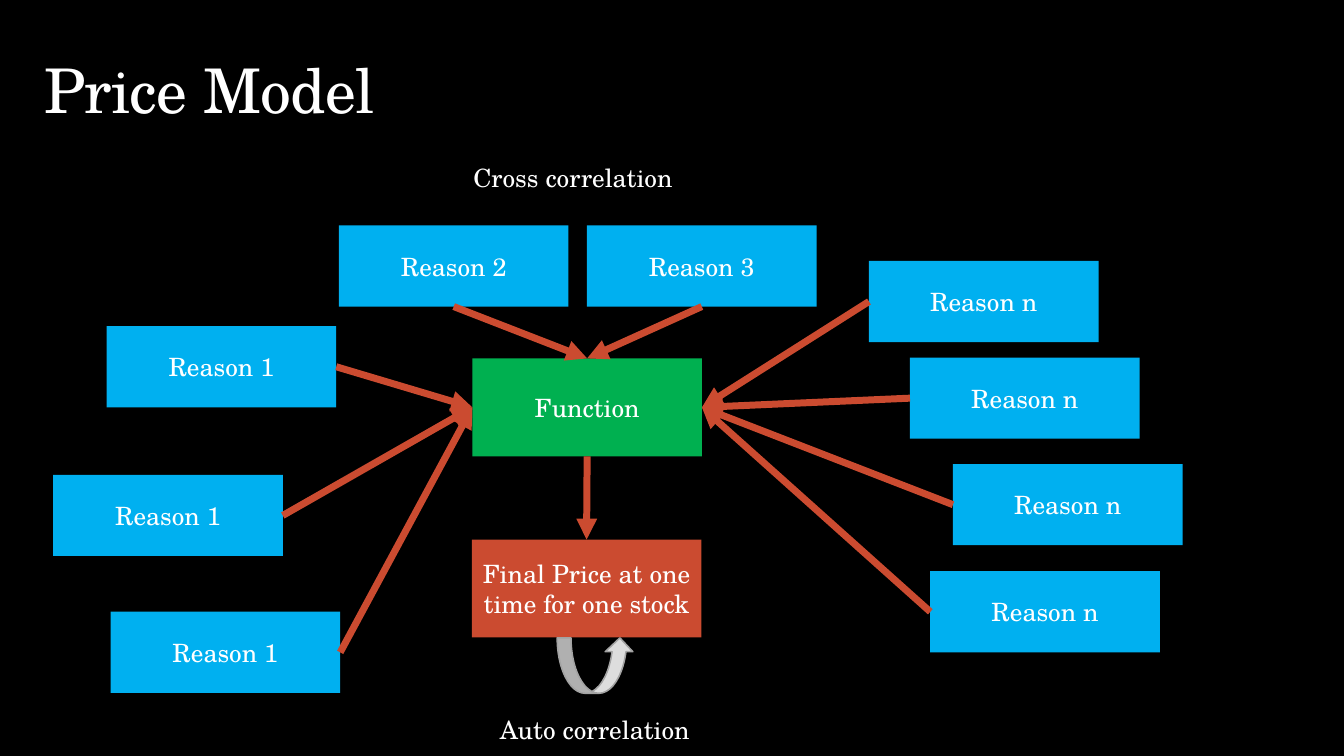
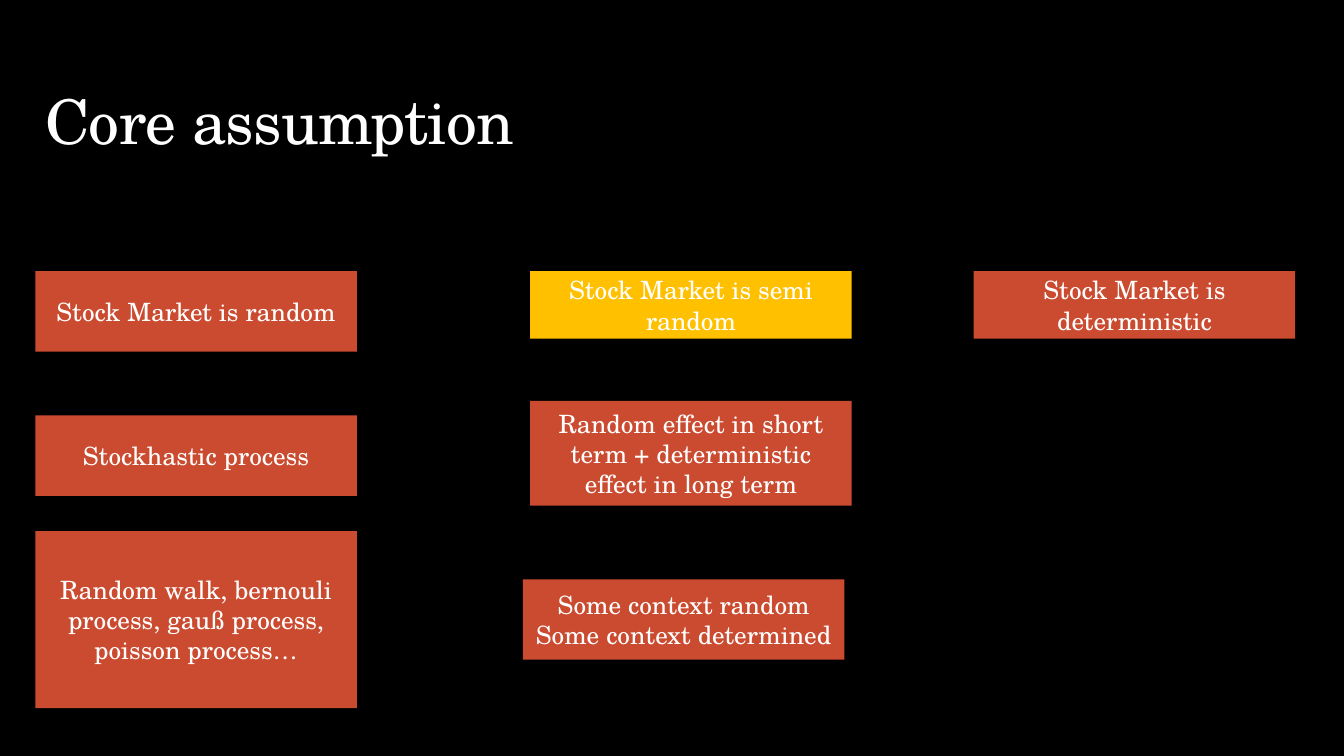
"""Build the price model and core assumption slides."""
import dataclasses
import typing

import lxml.etree
import pptx
import pptx.dml.color
import pptx.enum.shapes
import pptx.enum.text
import pptx.oxml.ns
import pptx.shapes.autoshape
import pptx.slide
import pptx.text.text
import pptx.util

Pt = pptx.util.Pt
RGBColor = pptx.dml.color.RGBColor
Shape = pptx.shapes.autoshape.Shape
SHAPE = pptx.enum.shapes.MSO_SHAPE
ANCHOR = pptx.enum.text.MSO_ANCHOR
ALIGN = pptx.enum.text.PP_ALIGN

BLACK = RGBColor(0x00, 0x00, 0x00)
WHITE = RGBColor(0xFF, 0xFF, 0xFF)
RED = RGBColor(0xCB, 0x4B, 0x30)
BLUE = RGBColor(0x00, 0xB0, 0xF0)
GREEN = RGBColor(0x00, 0xB0, 0x50)
YELLOW = RGBColor(0xFF, 0xC0, 0x00)
LIGHT_GREY = RGBColor(0xDD, 0xDD, 0xDD)
MID_GREY = RGBColor(0xA3, 0xA3, 0xA3)

BODY_FONT = {"name": "TeX Gyre Schola", "size": Pt(18)}
TITLE_FONT = {**BODY_FONT, "size": Pt(44)}
BOX_FRAME = {"word_wrap": True, "vertical_anchor": ANCHOR.MIDDLE}
TITLE_FRAME = {"word_wrap": True, "vertical_anchor": ANCHOR.BOTTOM}
LABEL_FRAME = {"word_wrap": False}
BOX_PARA = {"alignment": ALIGN.CENTER}
TITLE_PARA = {"line_spacing": 0.9}

TOP, LEFT, BOTTOM, RIGHT = range(4)
REASON_WIDTH, REASON_HEIGHT, CORE_HEIGHT = 164, 58, 70
CARD_WIDTH, CARD_HEIGHT = 229.7, 57.5
COLUMN_LEFTS = (25.2, 378.7, 695.5)
HEADING_TOP, HEADING_HEIGHT = 193.7, 48.2


@dataclasses.dataclass(frozen=True)
class Box:
    """A filled rectangle with centred text, measured in points."""

    text: str
    left: float
    top: float
    width: float
    height: float
    color: RGBColor = RED


@dataclasses.dataclass(frozen=True)
class Reason:
    """A reason box and the sides its arrow leaves from and points to."""

    text: str
    left: float
    top: float
    start_side: int
    end_side: int


REASONS = (
    Reason("Reason 2", 242.1, 161, BOTTOM, TOP),
    Reason("Reason 3", 419.3, 161, BOTTOM, TOP),
    Reason("Reason 1", 76.2, 233, RIGHT, LEFT),
    Reason("Reason 1", 38, 339.2, RIGHT, LEFT),
    Reason("Reason 1", 79, 437, RIGHT, LEFT),
    Reason("Reason n", 620.7, 186.4, LEFT, RIGHT),
    Reason("Reason n", 650, 255.4, LEFT, RIGHT),
    Reason("Reason n", 680.7, 331.5, LEFT, RIGHT),
    Reason("Reason n", 664.5, 408, LEFT, RIGHT),
)
FUNCTION = Box("Function", 337.4, 256, REASON_WIDTH, CORE_HEIGHT, GREEN)
FINAL_PRICE = Box("Final Price at one time for one stock", 337, 385.4, REASON_WIDTH, CORE_HEIGHT)

ASSUMPTIONS = (
    Box("Stock Market is random", COLUMN_LEFTS[0], HEADING_TOP, CARD_WIDTH, CARD_HEIGHT),
    Box("Stockhastic process", COLUMN_LEFTS[0], 296.7, CARD_WIDTH, CARD_HEIGHT),
    Box("Random walk, bernouli process, gauß process, poisson process…",
        COLUMN_LEFTS[0], 379.3, CARD_WIDTH, 126.5),
    Box("Stock Market is semi random", COLUMN_LEFTS[1], HEADING_TOP, CARD_WIDTH, HEADING_HEIGHT, YELLOW),
    Box("Random effect in short term + deterministic effect in long term",
        COLUMN_LEFTS[1], 286.4, CARD_WIDTH, 74.8),
    Box("Some context random\nSome context determined", 373.5, 413.8, CARD_WIDTH, CARD_HEIGHT),
    Box("Stock Market is deterministic", COLUMN_LEFTS[2], HEADING_TOP, CARD_WIDTH, HEADING_HEIGHT),
)


def apply(target: object, values: dict[str, typing.Any]) -> None:
    """Set each named attribute on the target."""
    for name, value in values.items():
        setattr(target, name, value)


def write(frame: pptx.text.text.TextFrame, text: str, frame_format: dict[str, typing.Any],
          para_format: dict[str, typing.Any], font_format: dict[str, typing.Any]) -> None:
    """Fill a frame with one formatted paragraph per line of text."""
    apply(frame, frame_format)
    frame.text = text
    for para in frame.paragraphs:
        apply(para, para_format)
        for span in para.runs:
            apply(span.font, font_format)
            span.font.color.rgb = WHITE


def add_title(page: pptx.slide.Slide, text: str, left: float, top: float, height: float) -> None:
    """Add a large title with tightened letters."""
    frame = page.shapes.add_textbox(Pt(left), Pt(top), Pt(763), Pt(height)).text_frame
    write(frame, text, TITLE_FRAME, TITLE_PARA, TITLE_FONT)
    frame.paragraphs[0].runs[0]._r.get_or_add_rPr().set("spc", "-50")


def add_label(page: pptx.slide.Slide, text: str, left: float, top: float, width: float) -> None:
    """Add a one-line label."""
    label = page.shapes.add_textbox(Pt(left), Pt(top), Pt(width), Pt(29))
    write(label.text_frame, text, LABEL_FRAME, {}, BODY_FONT)


def add_box(page: pptx.slide.Slide, box: Box) -> Shape:
    """Draw a box and return its shape."""
    shape = page.shapes.add_shape(
        SHAPE.RECTANGLE, Pt(box.left), Pt(box.top), Pt(box.width), Pt(box.height))
    shape.shadow.inherit = False
    shape.fill.solid()
    shape.fill.fore_color.rgb = box.color
    shape.line.fill.background()
    write(shape.text_frame, box.text, BOX_FRAME, BOX_PARA, BODY_FONT)
    return shape


def add_arrow(page: pptx.slide.Slide, start: Shape, start_side: int, end: Shape, end_side: int) -> None:
    """Connect two shapes with a thick red arrow."""
    arrow = page.shapes.add_connector(pptx.enum.shapes.MSO_CONNECTOR.STRAIGHT, 0, 0, 0, 0)
    arrow.begin_connect(start, start_side)
    arrow.end_connect(end, end_side)
    arrow.line.color.rgb = RED
    arrow.line.width = Pt(5)
    qualify = pptx.oxml.ns.qn
    lxml.etree.SubElement(arrow.get_or_add_ln(), qualify("a:tailEnd"), type="triangle")
    lxml.etree.SubElement(arrow._element.spPr, qualify("a:effectLst"))


def add_loop(page: pptx.slide.Slide) -> None:
    """Draw the curved arrow that leads the final price back to itself."""
    loop = page.shapes.add_shape(SHAPE.CURVED_UP_ARROW, Pt(398), Pt(455.6), Pt(54.7), Pt(39.6))
    loop.shadow.inherit = False
    loop.fill.solid()
    loop.fill.fore_color.rgb = LIGHT_GREY
    loop.line.color.rgb = MID_GREY
    loop.line.width = Pt(1.1)


def build_price_model(page: pptx.slide.Slide) -> None:
    """Draw the reasons that feed the price function."""
    add_title(page, "Price Model", 24.5, 0, 94.3)
    function = add_box(page, FUNCTION)
    final_price = add_box(page, FINAL_PRICE)
    for reason in REASONS:
        box = Box(reason.text, reason.left, reason.top, REASON_WIDTH, REASON_HEIGHT, BLUE)
        add_arrow(page, add_box(page, box), reason.start_side, function, reason.end_side)
    add_arrow(page, function, BOTTOM, final_price, TOP)
    add_loop(page)
    add_label(page, "Cross correlation", 331, 112.4, 158)
    add_label(page, "Auto correlation", 350, 507, 151)


def build_core_assumption(page: pptx.slide.Slide) -> None:
    """Draw the three columns of market assumptions."""
    add_title(page, "Core assumption", 25.2, 12.2, 104.4)
    for box in ASSUMPTIONS:
        add_box(page, box)


def main() -> None:
    """Build and save the deck."""
    deck = pptx.Presentation()
    deck.slide_width, deck.slide_height = Pt(960), Pt(540)
    background = deck.slide_master.background.fill
    background.solid()
    background.fore_color.rgb = BLACK
    for build in (build_price_model, build_core_assumption):
        build(deck.slides.add_slide(deck.slide_layouts[6]))
    deck.save("out.pptx")


if __name__ == "__main__":
    main()
